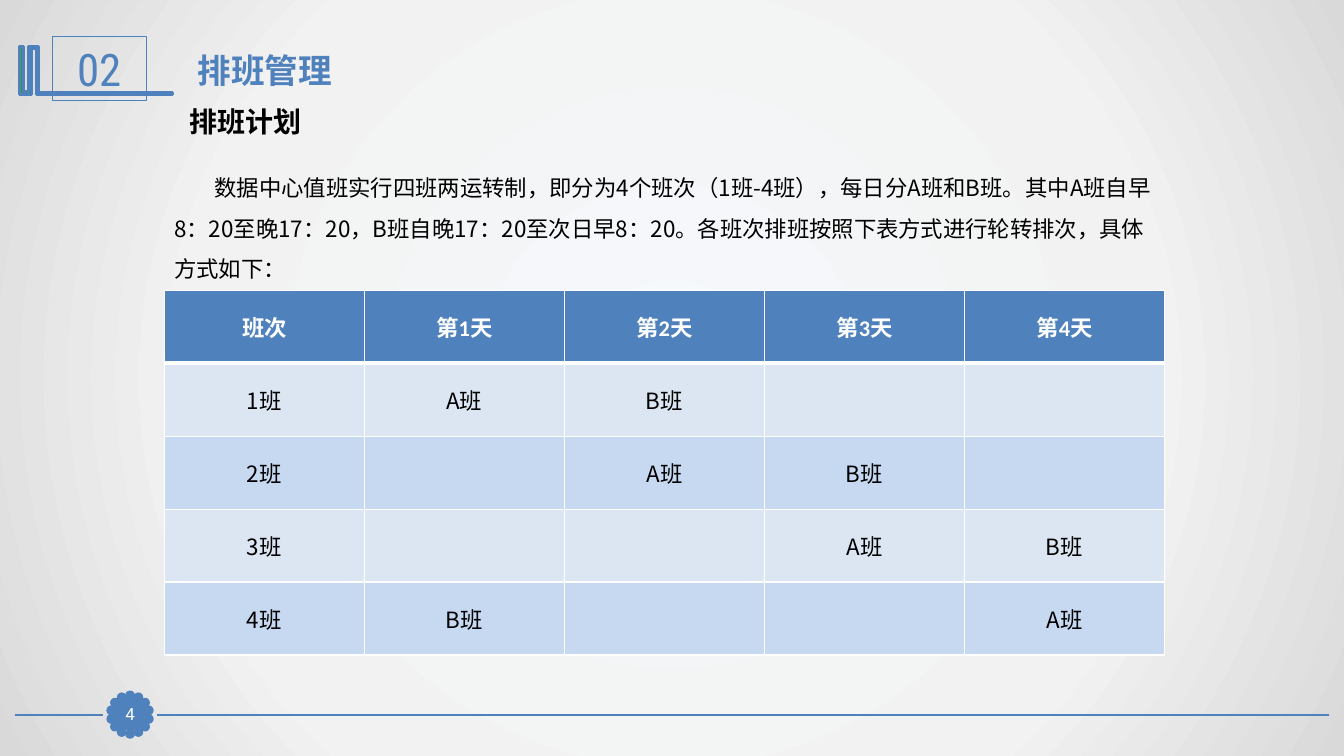
from math import cos, pi, sin

from lxml import etree
from pptx import Presentation
from pptx.dml.color import RGBColor
from pptx.enum.lang import MSO_LANGUAGE_ID as Lang
from pptx.enum.shapes import MSO_CONNECTOR as Connector, MSO_SHAPE as Shape
from pptx.enum.text import MSO_ANCHOR as Anchor, MSO_AUTO_SIZE as AutoSize, PP_ALIGN as Align
from pptx.oxml import parse_xml
from pptx.oxml.ns import nsdecls, qn
from pptx.util import Inches, Pt

BLUE = RGBColor(0x4F, 0x81, 0xBD)
GREEN = RGBColor(0x33, 0x99, 0x33)
WHITE = RGBColor(0xFF, 0xFF, 0xFF)
BLACK = RGBColor(0, 0, 0)
BAND_COLORS = [RGBColor(0xDC, 0xE6, 0xF2), RGBColor(0xC6, 0xD9, 0xF1)]
BACKDROP_STOPS = [(0, "F6F9FC"), (63, "F2F2F2"), (100, "D9D9D9")]

CJK = "Noto Sans CJK SC"
NUMBER = dict(name="Roboto Condensed", size=Pt(32), color=BLUE)
PAGE = dict(name="Roboto", size=Pt(12), color=WHITE)
TITLE = dict(name="Roboto", size=Pt(24), color=BLUE, bold=True)
SUBTITLE = dict(name="Roboto", size=Pt(20), color=BLACK, bold=True)
BODY = dict(name=CJK, size=Pt(16), color=BLACK)
HEADER = dict(name="Calibri", size=Pt(16), color=WHITE, bold=True)
CELL_CODE = dict(BODY, bold=False)
CELL_SUFFIX = dict(CELL_CODE, name="Calibri")

INTRO = ("数据中心值班实行四班两运转制，即分为4个班次（1班-4班），每日分A班和B班。"
         "其中A班自早8：20至晚17：20，B班自晚17：20至次日早8：20。"
         "各班次排班按照下表方式进行轮转排次，具体方式如下：")
HEADINGS = ["班次", "第1天", "第2天", "第3天", "第4天"]
SHIFTS = ["1AB--", "2-AB-", "3--AB", "4B--A"]

# Outline of the bracket mark, in hundredths of an inch
BRACKET = [(18, 0), (19, 0), (19, 46), (152, 46), (152, 48), (18, 48), (17, 48), (17, 2),
           (12, 2), (12, 48), (0, 48), (0, 0), (4, 0), (4, 45), (9, 45), (9, 0)]


def write(paragraph, words, style, align=Align.LEFT):
    paragraph.alignment = align
    run = paragraph.add_run()
    run.text = words
    run.font.language_id = Lang.SIMPLIFIED_CHINESE
    for key, value in style.items():
        if key == "color":
            run.font.color.rgb = value
        else:
            setattr(run.font, key, value)


def add_text(slide, words, style, left, top, width, height):
    frame = slide.shapes.add_textbox(*map(Inches, (left, top, width, height))).text_frame
    frame.word_wrap = True
    write(frame.paragraphs[0], words, style)
    return frame.paragraphs[0]


def paint(shape, fill, weight):
    shape.shadow.inherit = False
    if fill is None:
        shape.fill.background()
    else:
        shape.fill.solid()
        shape.fill.fore_color.rgb = fill
    shape.line.color.rgb = BLUE
    shape.line.width = Pt(weight)


def add_box(slide, words, style, fill, left, top, width, height):
    box = slide.shapes.add_shape(Shape.RECTANGLE, *map(Inches, (left, top, width, height)))
    paint(box, fill, 0.75)
    frame = box.text_frame
    frame.vertical_anchor = Anchor.MIDDLE
    for side in ("left", "top", "right", "bottom"):
        setattr(frame, f"margin_{side}", 0)
    write(frame.paragraphs[0], words, style, Align.CENTER)


def set_backdrop(slide):
    slide.background.fill.gradient()
    gradient = slide.element.find(".//" + qn("a:gradFill"))
    stops = "".join(f'<a:gs pos="{pos * 1000}"><a:srgbClr val="{color}"/></a:gs>'
                    for pos, color in BACKDROP_STOPS)
    for child in list(gradient):
        gradient.remove(child)
    gradient.append(parse_xml(f'<a:gsLst {nsdecls("a")}>{stops}</a:gsLst>'))
    gradient.append(parse_xml(f'<a:path {nsdecls("a")} path="circle">'
                              '<a:fillToRect l="50000" t="50000" r="50000" b="50000"/></a:path>'))


def add_footer(slide, left, right, y, badge_x):
    # Rule on either side of the badge
    for start, end in ((right, badge_x + 0.27), (badge_x - 0.27, left)):
        rule = slide.shapes.add_connector(Connector.STRAIGHT, *map(Inches, (start, y, end, y)))
        rule.line.color.rgb = BLUE
        rule.line.width = Pt(1.25)
        etree.SubElement(rule.element.spPr, qn("a:effectLst"))
    # Scalloped badge with the page number
    petals, radius, size = 14, 0.19, 0.07
    for i in range(petals):
        angle = 2 * pi * i / petals
        x = badge_x + radius * sin(angle) - size / 2
        top = y - radius * cos(angle) - size / 2
        petal = slide.shapes.add_shape(Shape.OVAL, *map(Inches, (x, top, size, size)))
        paint(petal, BLUE, 2)
    add_box(slide, "4", PAGE, BLUE, badge_x - 0.16, y - 0.16, 0.32, 0.31)


def add_heading(slide, left, top):
    # Bracket mark and section number
    builder = slide.shapes.build_freeform(*BRACKET[0], scale=Inches(0.01))
    builder.add_line_segments(BRACKET[1:], close=True)
    paint(builder.convert_to_shape(Inches(left), Inches(top + 0.1)), GREEN, 2)
    add_box(slide, "02", NUMBER, None, left + 0.33, top, 0.93, 0.64)
    # Title and subtitle
    title = slide.shapes.title
    place = dict(left=left + 1.67, top=top + 0.08, width=9.69, height=0.5)
    for key, value in place.items():
        setattr(title, key, Inches(value))
    title.text_frame.auto_size = AutoSize.NONE
    title.text_frame.vertical_anchor = Anchor.MIDDLE
    write(title.text_frame.paragraphs[0], "排班管理", TITLE)
    add_text(slide, "排班计划", SUBTITLE, left + 1.59, top + 0.63, 3.46, 0.44)


def add_intro(slide, left, top, width, height):
    intro = add_text(slide, INTRO, BODY, left, top, width, height)
    intro.line_spacing = 1.5
    intro.space_after = Pt(2)
    intro._p.get_or_add_pPr().set("indent", str(Inches(0.4)))


def format_cell(cell, fill, bottom):
    cell.vertical_anchor = Anchor.MIDDLE
    margins = dict(left=0.07, top=0, right=0.07, bottom=0)
    for side, margin in margins.items():
        setattr(cell, f"margin_{side}", Inches(margin))
    properties = cell._tc.get_or_add_tcPr()
    for edge, weight in dict(L=1, R=1, T=1, B=bottom).items():
        properties.append(parse_xml(
            f'<a:ln{edge} {nsdecls("a")} w="{Pt(weight)}"><a:solidFill>'
            f'<a:srgbClr val="{WHITE}"/></a:solidFill></a:ln{edge}>'))
    cell.fill.solid()
    cell.fill.fore_color.rgb = fill


def add_schedule(slide, left, top, width, height):
    rows, columns = len(SHIFTS) + 1, len(HEADINGS)
    schedule = slide.shapes.add_table(
        rows, columns, *map(Inches, (left, top, width, height))).table
    schedule.horz_banding = False
    for column, heading in enumerate(HEADINGS):
        cell = schedule.cell(0, column)
        format_cell(cell, BLUE, 3)
        write(cell.text_frame.paragraphs[0], heading, HEADER, Align.CENTER)
    for row, codes in enumerate(SHIFTS, 1):
        for column, code in enumerate(codes):
            cell = schedule.cell(row, column)
            format_cell(cell, BAND_COLORS[(row - 1) % 2], 1)
            if code != "-":
                line = cell.text_frame.paragraphs[0]
                write(line, code, CELL_CODE, Align.CENTER)
                write(line, "班", CELL_SUFFIX, Align.CENTER)


def main():
    deck = Presentation()
    deck.slide_width, deck.slide_height = Inches(13.33), Inches(7.5)
    slide = deck.slides.add_slide(deck.slide_layouts[5])
    set_backdrop(slide)
    add_footer(slide, 0.15, 13.18, 7.09, 1.29)
    add_heading(slide, 0.19, 0.36)
    add_intro(slide, 1.63, 1.55, 9.92, 1.77)
    add_schedule(slide, 1.63, 2.88, 9.92, 3.62)
    deck.save("out.pptx")


if __name__ == "__main__":
    main()
